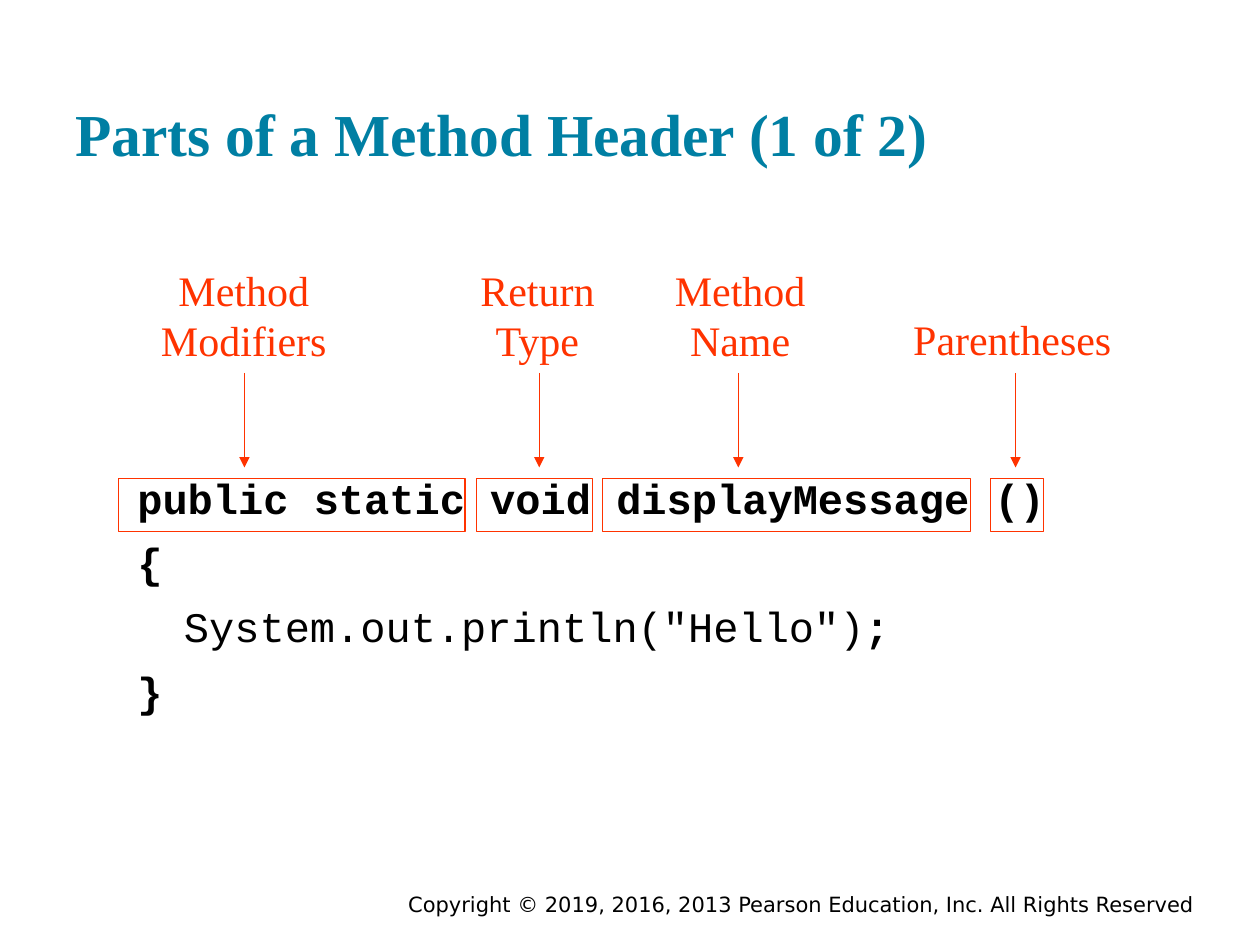
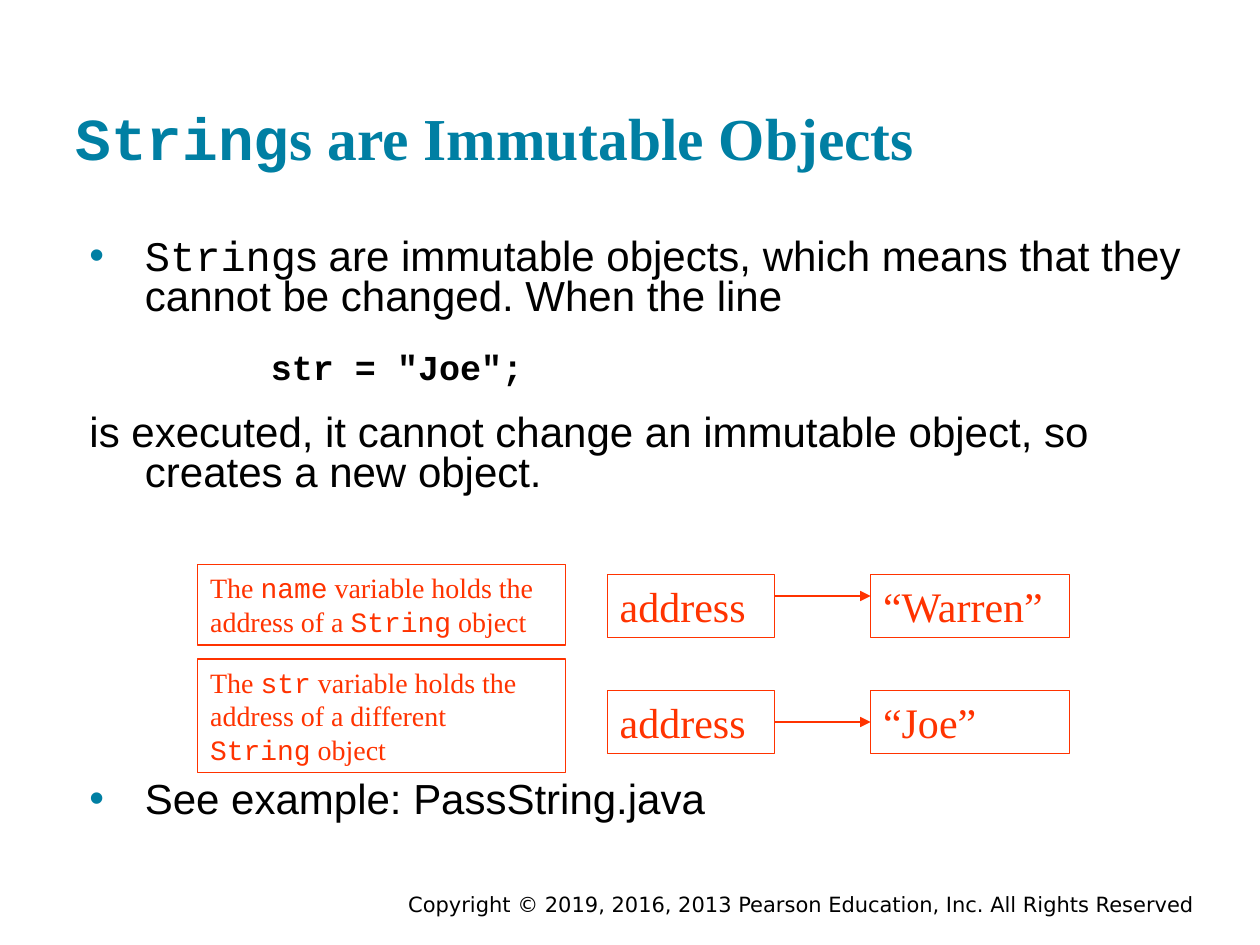
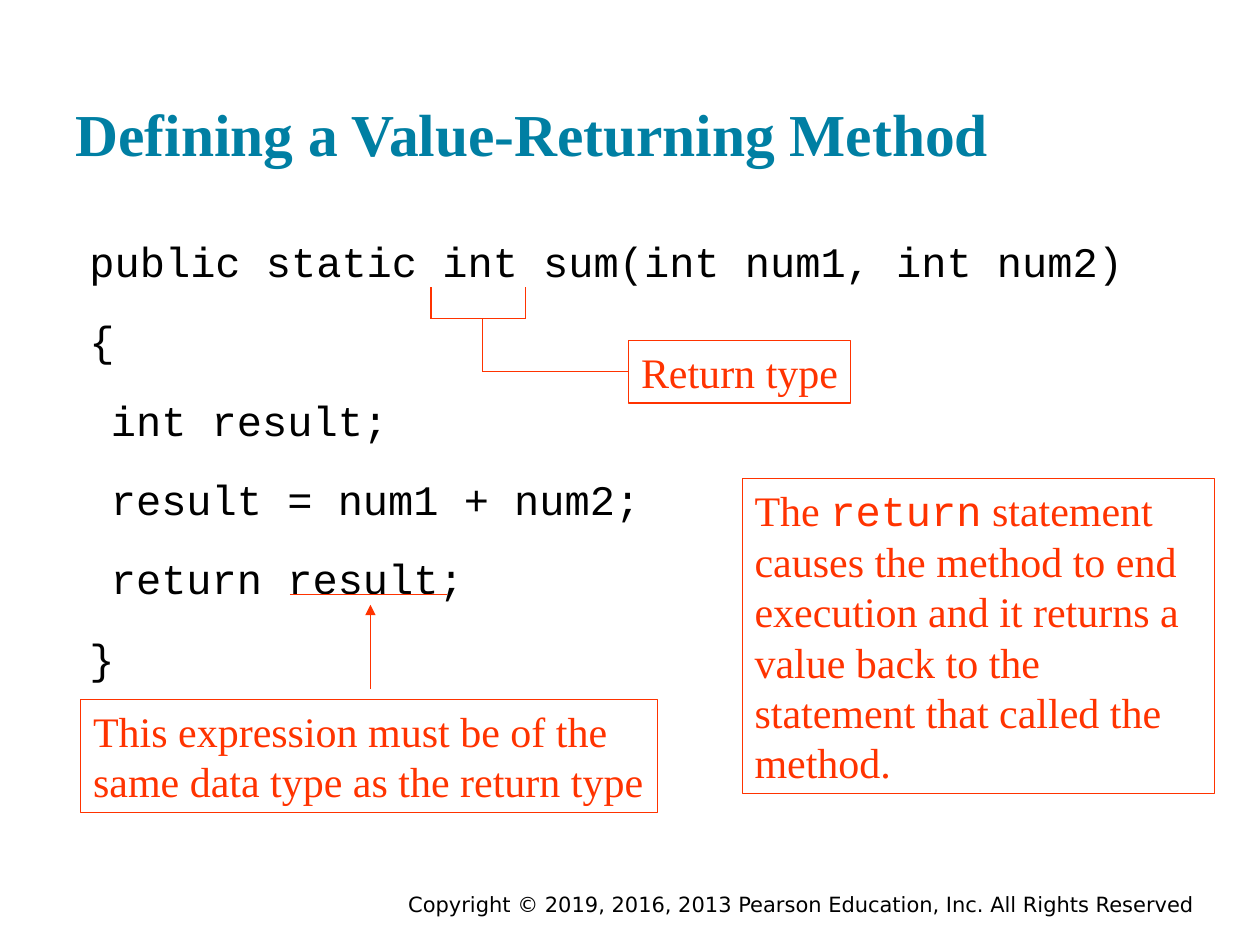
from lxml.etree import SubElement
from pptx import Presentation
from pptx.dml.color import RGBColor
from pptx.enum.shapes import MSO_CONNECTOR, MSO_SHAPE
from pptx.enum.text import MSO_ANCHOR as ANCHOR, MSO_AUTO_SIZE as AUTO_SIZE, PP_ALIGN as ALIGN
from pptx.oxml.ns import qn
from pptx.util import Inches, Pt

TEAL = RGBColor(0x00, 0x7F, 0xA3)
RED = RGBColor(0xFF, 0x33, 0x00)
BLACK = RGBColor(0x00, 0x00, 0x00)

SERIF, SANS, MONO = "Times New Roman", "Arial", "Courier New"
COPYRIGHT = "Copyright © 2019, 2016, 2013 Pearson Education, Inc. All Rights Reserved"

TITLE_FONT = {"name": SERIF, "size": Pt(34), "bold": True}
BODY_FONT = {"name": SANS, "size": Pt(24), "bold": False}
CODE_FONT = {"name": MONO, "size": Pt(24), "bold": False}
CALLOUT_FONT = {"name": SERIF, "size": Pt(24), "bold": False}
FOOTER_FONT = {"name": "DejaVu Sans", "size": Pt(12), "bold": False}

CODE_LINE = {"left": 0.28, "indent": -0.17}
LIST_ITEM = {"left": 0.55, "indent": -0.44, "line_spacing": 0.8}
RIGHT, LEFT = 3, 1


def add_run(paragraph, text, font, color):
    run = paragraph.add_run()
    run.text = text
    for name, value in font.items():
        setattr(run.font, name, value)
    run.font.color.rgb = color


def add_mixed_text(paragraph, text, font, color):
    """Write text, setting the pieces between backticks in the code font."""
    for index, piece in enumerate(text.split("`")):
        if piece:
            add_run(paragraph, piece, {**font, "name": MONO} if index % 2 else font, color)


def format_frame(frame, **values):
    settings = {"auto_size": AUTO_SIZE.NONE, "word_wrap": True, "vertical_anchor": ANCHOR.TOP,
                "margin_left": Inches(0.1), "margin_right": Inches(0.1),
                "margin_top": Inches(0.05), "margin_bottom": Inches(0.05), **values}
    for name, value in settings.items():
        setattr(frame, name, value)


def place(shape, left, top, width, height):
    bounds = {"left": left, "top": top, "width": width, "height": height}
    for name, value in bounds.items():
        setattr(shape, name, Inches(value))


def add_base_slide(presentation, title, body_bounds, title_top=0.24, body_inset=0.1):
    """Add a slide with its title, footer and placed body; return slide and body frame."""
    slide = presentation.slides.add_slide(presentation.slide_layouts[1])
    heading, body = slide.shapes.title, slide.placeholders[1]
    place(heading, 0.5, title_top, 9, 1.2)
    format_frame(heading.text_frame, vertical_anchor=ANCHOR.BOTTOM,
                 margin_top=Inches(0.1), margin_bottom=Inches(0.1))
    paragraph = heading.text_frame.paragraphs[0]
    paragraph.alignment = ALIGN.LEFT
    add_mixed_text(paragraph, title, TITLE_FONT, TEAL)

    place(body, *body_bounds)
    format_frame(body.text_frame, margin_top=Inches(body_inset), margin_bottom=Inches(0.1))
    add_label(slide, COPYRIGHT, (1.75, 7.03, 7.83, 0.22), FOOTER_FONT, BLACK, ALIGN.RIGHT)
    return slide, body.text_frame


def add_body_paragraph(frame, left, indent, line_spacing=1.0, space_before=0, bullet=False):
    first = frame.paragraphs[0]
    paragraph = frame.add_paragraph() if first.runs else first
    properties = paragraph._p.get_or_add_pPr()
    properties.set("marL", str(Inches(left)))
    properties.set("indent", str(Inches(indent)))
    if bullet:
        color = SubElement(properties, qn("a:buClr"))
        SubElement(color, qn("a:srgbClr"), val=str(TEAL))
        SubElement(properties, qn("a:buFont"), typeface=SANS)
        SubElement(properties, qn("a:buChar"), char="•")
    else:
        SubElement(properties, qn("a:buNone"))
    paragraph.line_spacing = line_spacing
    paragraph.space_before = Pt(space_before)
    return paragraph


def add_code(frame, lines, line_spacing):
    """Write code lines, each given as (layout, runs), with runs as (text, bold)."""
    for index, (layout, runs) in enumerate(lines):
        paragraph = add_body_paragraph(frame, **layout, line_spacing=line_spacing,
                                       space_before=16.5 if index else 0)
        for text, bold in runs:
            add_run(paragraph, text, {**CODE_FONT, "bold": bold}, BLACK)


def add_label(slide, text, bounds, font=CALLOUT_FONT, color=RED, alignment=ALIGN.CENTER, wrap=True):
    label = slide.shapes.add_textbox(*map(Inches, bounds))
    format_frame(label.text_frame, word_wrap=wrap)
    paragraph = label.text_frame.paragraphs[0]
    paragraph.alignment = alignment
    add_mixed_text(paragraph, text, font, color)


def add_box(slide, bounds, text="", size=24, alignment=ALIGN.LEFT, wrap=True):
    """Add a red outlined rectangle, with text if given."""
    box = slide.shapes.add_shape(MSO_SHAPE.RECTANGLE, *map(Inches, bounds))
    box.shadow.inherit = False
    box.fill.background()
    box.line.color.rgb = RED
    box.line.width = Pt(0.75)
    if text:
        format_frame(box.text_frame, word_wrap=wrap)
        paragraph = box.text_frame.paragraphs[0]
        paragraph.alignment = alignment
        add_mixed_text(paragraph, text, {**CALLOUT_FONT, "size": Pt(size)}, RED)
    return box


def add_line(slide, start, end, arrow=False):
    line = slide.shapes.add_connector(MSO_CONNECTOR.STRAIGHT, *map(Inches, (*start, *end)))
    line.line.color.rgb = RED
    line.line.width = Pt(0.75)
    properties = line._element.spPr
    if arrow:
        SubElement(properties.find(qn("a:ln")), qn("a:tailEnd"), type="triangle")
    SubElement(properties, qn("a:effectLst"))
    return line


def add_method_header_slide(presentation):
    slide, body = add_base_slide(presentation, "Parts of a Method Header (1 of 2)",
                                 (0.88, 3.74, 7.73, 2.08), body_inset=0.12)
    add_code(body, [
        (CODE_LINE, [("public static void displayMessage ()", True)]),
        (CODE_LINE, [("{", True)]),
        ({"left": 0.48, "indent": 0}, [('System.out.println("Hello")', False), (";", True)]),
        (CODE_LINE, [("}", True)]),
    ], line_spacing=0.7)

    for left, width in ((0.94, 2.75), (3.78, 0.92), (4.78, 2.92), (7.86, 0.42)):
        add_box(slide, (left, 3.8, width, 0.42))
    for text, left, width in (("Method Modifiers", 1.06, 1.75), ("Return Type", 3.64, 1.25),
                              ("Method Name", 5.21, 1.33)):
        add_label(slide, text, (left, 2.05, width, 0.9))
    add_label(slide, "Parentheses", (7.15, 2.44, 1.77, 0.5), wrap=False)
    for x in (1.94, 4.28, 5.86, 8.06):
        add_line(slide, (x, 2.96), (x, 3.71), arrow=True)


def add_immutable_slide(presentation):
    slide, body = add_base_slide(presentation, "`String`s are Immutable Objects",
                                 (0.5, 1.8, 9, 4.95), title_top=0.27)
    code_item = {**LIST_ITEM, "left": 1.55, "indent": 0}
    str_font = {**CODE_FONT, "size": Pt(20), "bold": True}
    for text, layout, font, space_before, bullet in (
        ("`String`s are immutable objects, which means that they cannot be changed. "
         "When the line", LIST_ITEM, BODY_FONT, 0, True),
        ('str = "Joe";', code_item, str_font, 19, False),
        ("is executed, it cannot change an immutable object, so creates a new object.",
         LIST_ITEM, BODY_FONT, 16, False),
        ("See example: PassString.java", LIST_ITEM, BODY_FONT, 164, True),
    ):
        paragraph = add_body_paragraph(body, **layout, space_before=space_before, bullet=bullet)
        add_mixed_text(paragraph, text, font, BLACK)

    for value, top, arrow_y in (("“Warren”", 4.56, 4.73), ("“Joe”", 5.48, 5.73)):
        address = add_box(slide, (4.82, top, 1.33, 0.5), "address")
        target = add_box(slide, (6.91, top, 1.58, 0.5), value)
        arrow = add_line(slide, (6.15, arrow_y), (6.91, arrow_y), arrow=True)
        if arrow_y == top + 0.25:
            arrow.begin_connect(address, RIGHT)
            arrow.end_connect(target, LEFT)

    add_box(slide, (1.57, 4.48, 2.92, 0.64),
            "The `name` variable holds the address of a `String` object", size=16)
    add_box(slide, (1.57, 5.23, 2.92, 0.9),
            "The `str` variable holds the address of a different `String` object", size=16)


def add_value_returning_slide(presentation):
    slide, body = add_base_slide(presentation, "Defining a Value-Returning Method",
                                 (0.5, 1.75, 9, 4.95), body_inset=0.12)
    inner_line = {"left": 0.28, "indent": 0}
    add_code(body, [(layout, [(text, False)]) for layout, text in (
        (CODE_LINE, "public static int sum(int num1, int num2)"),
        (CODE_LINE, "{"),
        (inner_line, "int result;"),
        (inner_line, "result = num1 + num2;"),
        (inner_line, "return result;"),
        (CODE_LINE, "}"),
    )], line_spacing=1.0)

    return_type = add_box(slide, (4.99, 2.7, 1.76, 0.5), "Return type",
                          alignment=ALIGN.CENTER, wrap=False)
    add_line(slide, (2.3, 4.72), (3.55, 4.72))
    add_box(slide, (0.64, 5.55, 4.58, 0.9),
            "This expression must be of the same data type as the return type")
    add_line(slide, (2.94, 5.47), (2.94, 4.8), arrow=True)
    add_box(slide, (5.89, 3.8, 3.75, 2.5),
            "The `return` statement causes the method to end execution and it returns a "
            "value back to the statement that called the method.")

    bracket = ((3.42, 2.28), (3.42, 2.53), (4.17, 2.53), (4.17, 2.28))
    for start, end in zip(bracket, bracket[1:]):
        add_line(slide, start, end)
    add_line(slide, (3.83, 2.53), (3.83, 2.95))
    leader = add_line(slide, (3.83, 2.95), (4.99, 2.95))
    leader.end_connect(return_type, LEFT)


def main():
    presentation = Presentation()
    presentation.slide_width = Inches(10)
    presentation.slide_height = Inches(7.5)
    add_method_header_slide(presentation)
    add_immutable_slide(presentation)
    add_value_returning_slide(presentation)
    presentation.save("out.pptx")


if __name__ == "__main__":
    main()
